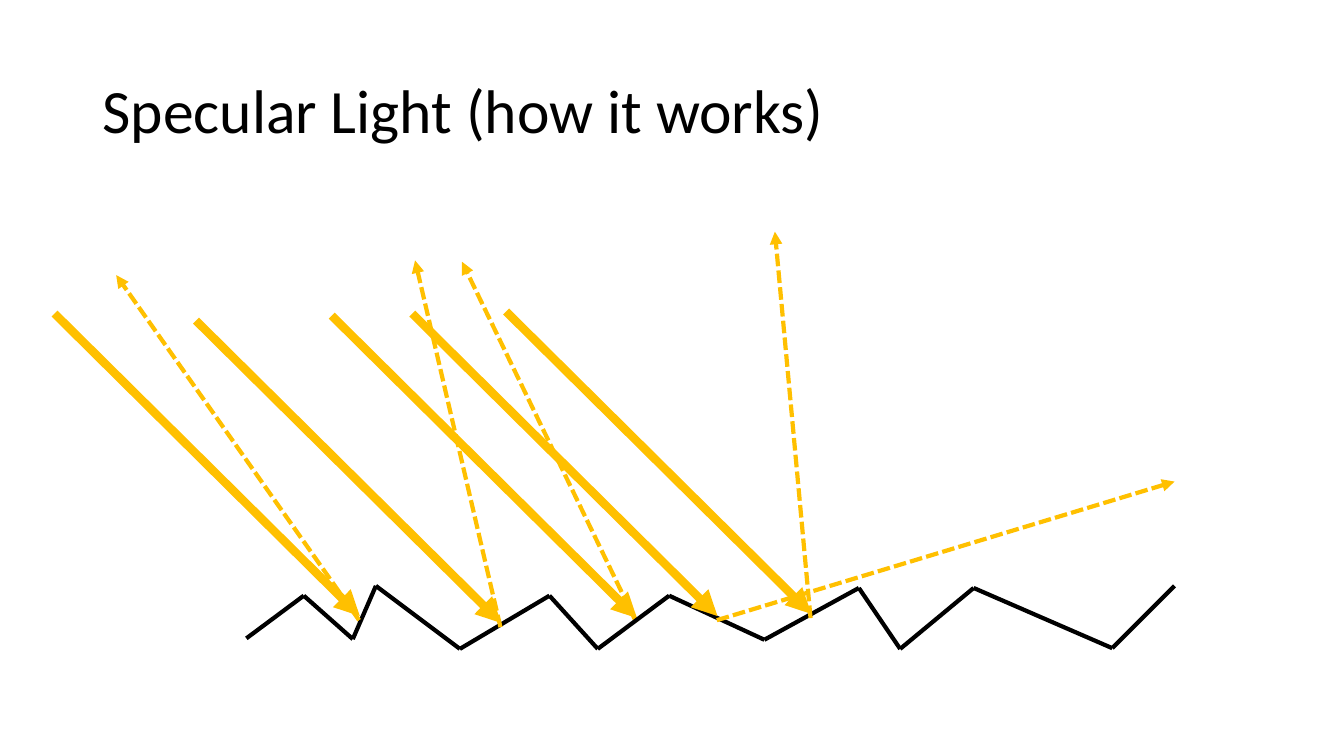
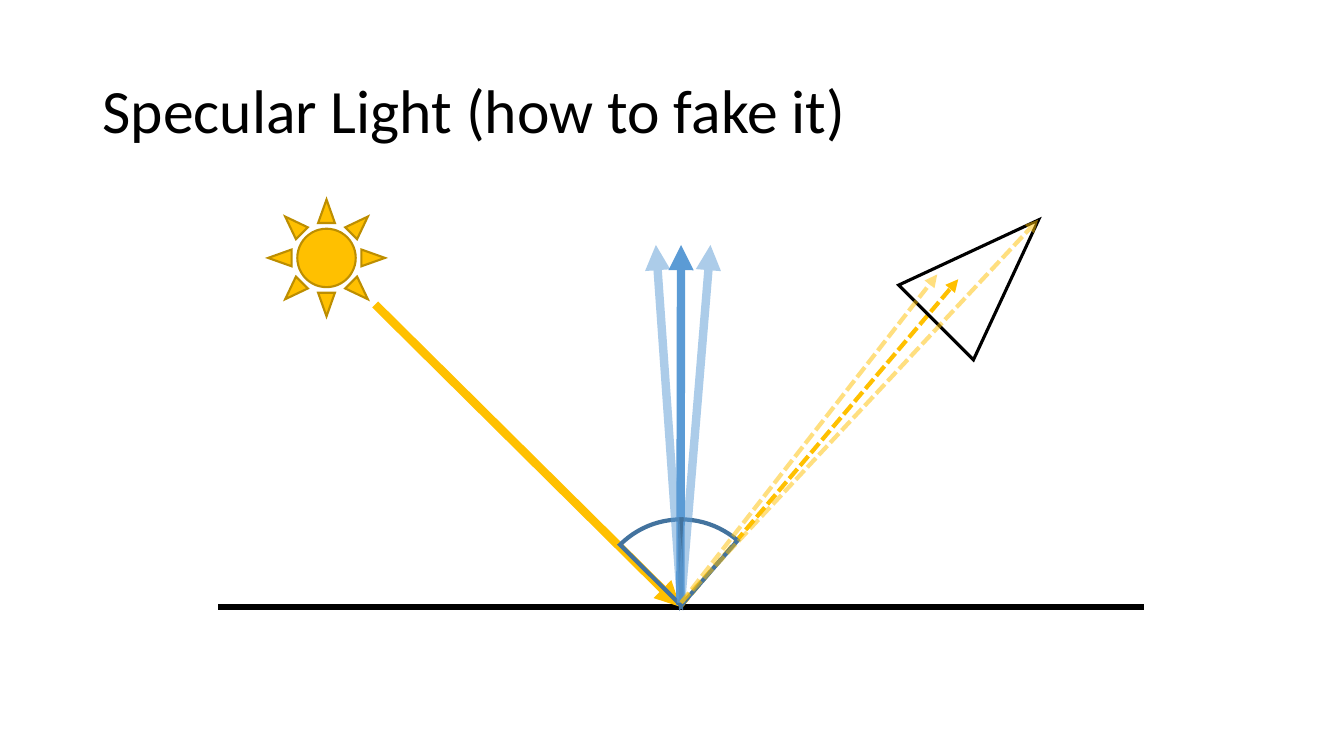
from dataclasses import dataclass
from itertools import pairwise

from pptx import Presentation
from pptx.dml.color import RGBColor as Rgb
from pptx.enum.dml import MSO_LINE as Dash
from pptx.enum.shapes import MSO_CONNECTOR as Link, MSO_SHAPE as Kind
from pptx.enum.text import MSO_ANCHOR as Anchor, MSO_AUTO_SIZE as Fit, PP_ALIGN as Align
from pptx.oxml.ns import qn
from pptx.util import Pt
from lxml.etree import SubElement


@dataclass(frozen=True)
class Theme:
    font: str = "Calibri"
    title: float = 44
    ink: str = "000000"
    light: str = "FFC000"
    rim: str = "BD8E00"
    normal: str = "5B9BD5"
    angle: str = "43739E"
    beam: float = 6
    thin: float = 3


def write(frame, text, size, color, font, align=Align.LEFT, space=0.9):
    frame.text = text
    para = frame.paragraphs[0]
    para.alignment, para.line_spacing = align, space
    face = para.runs[0].font
    face.name, face.size = font, Pt(size)
    face.color.rgb = Rgb.from_string(color)


class Deck:
    def __init__(self, theme):
        self.theme = theme
        self.prs = Presentation()
        self.prs.slide_width, self.prs.slide_height = Pt(960), Pt(540)

    def page(self, title):
        look = self.theme
        slide = self.prs.slides.add_slide(self.prs.slide_layouts[5])
        self.items = slide.shapes
        head = self.items.title
        head.left, head.top, head.width, head.height = Pt(66), Pt(28.75), Pt(828), Pt(104.4)
        frame = head.text_frame
        frame.word_wrap, frame.auto_size = True, Fit.NONE
        frame.vertical_anchor = Anchor.MIDDLE
        write(frame, title, size=look.title, color=look.ink, font=look.font)

    def line(self, start, end, color, width, dash=False, arrow=False, alpha=None):
        link = self.items.add_connector(Link.STRAIGHT, *map(Pt, (*start, *end)))
        link.line.width = Pt(width)
        link.line.color.rgb = Rgb.from_string(color)
        if dash:
            link.line.dash_style = Dash.SQUARE_DOT
        props = link.element.spPr
        stroke = props.find(qn("a:ln"))
        if alpha:
            tint = stroke.find(".//" + qn("a:srgbClr"))
            SubElement(tint, qn("a:alpha")).set("val", str(alpha * 1000))
        if arrow:
            SubElement(stroke, qn("a:tailEnd")).set("type", "triangle")
        SubElement(props, qn("a:effectLst"))

    def beam(self, start, end, color=None, **style):
        self.line(start, end, color or self.theme.light, self.theme.beam, arrow=True, **style)

    def bounce(self, start, end, **style):
        self.line(start, end, self.theme.light, self.theme.thin, dash=True, arrow=True, **style)

    def shape(self, kind, box, color, width, fill=None, turn=0, adjust=()):
        item = self.items.add_shape(kind, *map(Pt, box))
        item.shadow.inherit = False
        item.rotation = turn
        for i, value in enumerate(adjust):
            item.adjustments[i] = value
        if fill:
            item.fill.solid()
            item.fill.fore_color.rgb = Rgb.from_string(fill)
        else:
            item.fill.background()
        item.line.width = Pt(width)
        item.line.color.rgb = Rgb.from_string(color)
        stroke = item.element.spPr.find(qn("a:ln"))
        SubElement(stroke, qn("a:miter")).set("lim", "800000")

    def pie(self, box, start, end):
        """Outline a sector between two angles in degrees, clockwise from the right."""
        self.shape(Kind.PIE, box, self.theme.angle, self.theme.thin,
                   adjust=(start * 0.6, end * 0.6))


def rough(deck):
    """Parallel rays scatter off an uneven surface."""
    look = deck.theme
    deck.page("Specular Light (how it works)")
    ridge = [(176, 456), (217, 425.5), (252, 456.5), (268.5, 418.5), (328.5, 463.5),
             (392.5, 425.5), (427, 463.5), (478, 425.5), (546, 457), (613.5, 420),
             (643, 463.5), (695.5, 420), (794.5, 463), (839, 418.5)]
    first, *rest = [((455, 441.5), (330, 187)), ((512.5, 440), (839, 344)),
                    ((358, 445), (296.5, 186)), ((257, 440), (83, 196.5)),
                    ((579.5, 438.5), (553.5, 165.5))]

    def ray(hit, end):
        x, y = hit
        deck.beam((x - 218, y - 216), hit)
        deck.bounce((x - 0.5, y + 3), end)

    ray(*first)
    for start, end in pairwise(ridge):
        deck.line(start, end, look.ink, look.thin)
    for pair in rest:
        ray(*pair)


def fake(deck):
    """One ray meets a flat surface whose normal is jittered."""
    look = deck.theme
    deck.page("Specular Light (how to fake it)")
    hit, core = (486, 433.5), (486.5, 430.5)
    deck.line((156, 433.5), (817, 433.5), look.ink, 4.5)
    deck.beam((268, 217.5), hit)
    deck.bounce(hit, (684.5, 199.5))
    deck.shape(Kind.ISOSCELES_TRIANGLE, (667.5, 142, 75.5, 103.5), look.ink, 2.25, turn=45)
    deck.shape(Kind.SUN, (191.5, 142.5, 83.5, 83.5), look.rim, 1.5, fill=look.light)
    deck.beam((486, 432), (486.5, 175), look.normal)
    for start, end in ((224.9, 270), (269.4, 311)):
        deck.pie((425, 371, 123, 123), start, end)
    for x in (468.5, 507.5):
        deck.beam(core, (x, 175), look.normal, alpha=50)
    for end in ((669.5, 196), (741.5, 157)):
        deck.bounce(core, end, alpha=50)


def main():
    deck = Deck(Theme())
    rough(deck)
    fake(deck)
    deck.prs.save("out.pptx")


if __name__ == "__main__":
    main()
